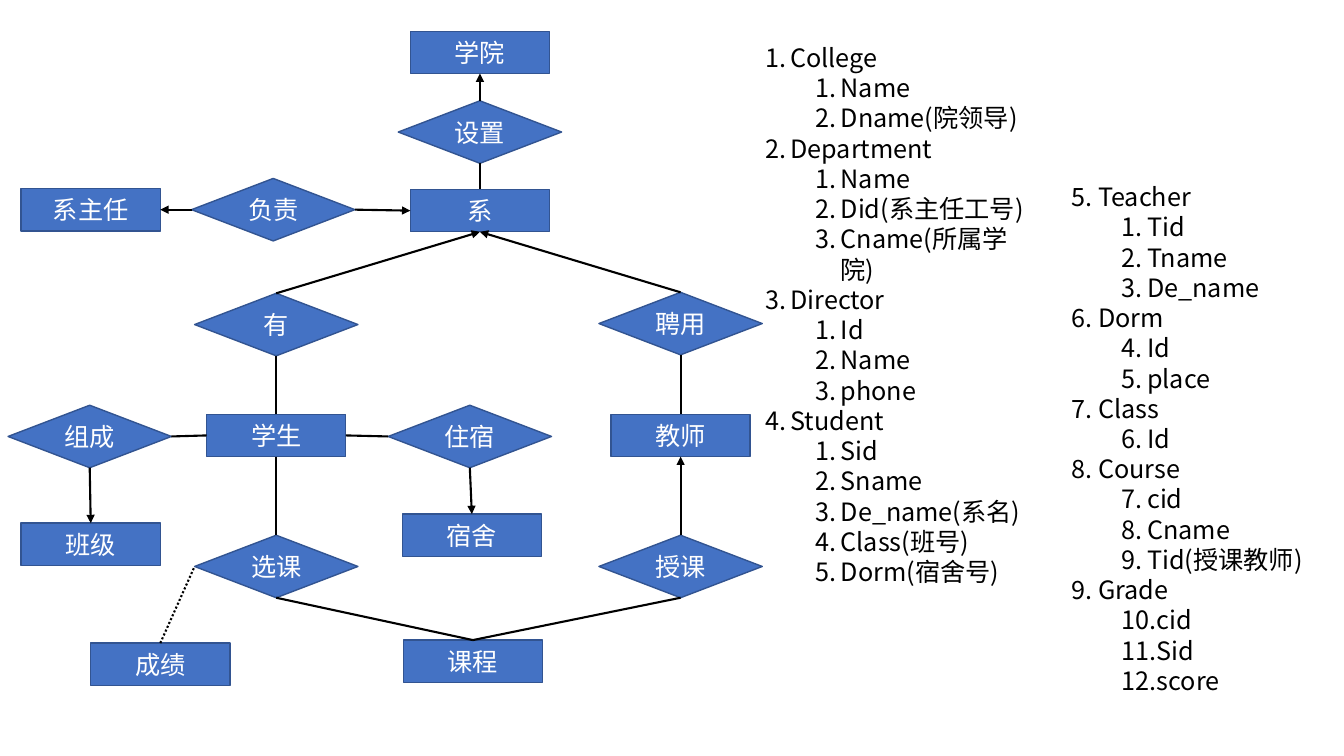
from lxml.etree import SubElement
from pptx import Presentation
from pptx.dml.color import RGBColor
from pptx.enum.dml import MSO_LINE
from pptx.enum.shapes import MSO_CONNECTOR, MSO_SHAPE
from pptx.enum.text import MSO_ANCHOR, MSO_AUTO_SIZE, PP_ALIGN
from pptx.oxml.ns import qn
from pptx.util import Inches, Pt

BLUE = RGBColor(0x44, 0x72, 0xC4)
DARK_BLUE = RGBColor(0x32, 0x54, 0x91)
WHITE = RGBColor(0xFF, 0xFF, 0xFF)
BLACK = RGBColor(0x00, 0x00, 0x00)

# Connection sites shared by rectangles and diamonds
TOP, LEFT, BOTTOM, RIGHT = range(4)


class DiagramSlide:
    font = "Noto Sans CJK SC"
    text_size = Pt(18)
    entity_size = (1.38, 0.42)
    relation_size = (1.62, 0.62)

    def __init__(self, presentation):
        self.slide = presentation.slides.add_slide(presentation.slide_layouts[6])
        self.nodes = {}

    def add_run(self, paragraph, text, color):
        run = paragraph.add_run()
        run.text = text
        run.font.size = self.text_size
        run.font.name = self.font
        run.font.color.rgb = color
        SubElement(run.font._element, qn("a:ea"), typeface=self.font)

    def add_node(self, preset, name, left, top, size):
        shape = self.slide.shapes.add_shape(
            preset, Inches(left), Inches(top), *map(Inches, size))
        shape.shadow.inherit = False
        shape.fill.solid()
        shape.fill.fore_color.rgb = BLUE
        shape.line.color.rgb = DARK_BLUE
        shape.line.width = Pt(1)
        shape.text_frame.vertical_anchor = MSO_ANCHOR.MIDDLE
        paragraph = shape.text_frame.paragraphs[0]
        paragraph.alignment = PP_ALIGN.CENTER
        self.add_run(paragraph, name, WHITE)
        self.nodes[name] = shape

    def add_entity(self, name, left, top):
        self.add_node(MSO_SHAPE.RECTANGLE, name, left, top, self.entity_size)

    def add_relation(self, name, left, top):
        self.add_node(MSO_SHAPE.DIAMOND, name, left, top, self.relation_size)

    def add_link(self, start, start_site, end, end_site, arrow=False, dotted=False):
        connector = self.slide.shapes.add_connector(MSO_CONNECTOR.STRAIGHT, 0, 0, 0, 0)
        connector.begin_connect(self.nodes[start], start_site)
        connector.end_connect(self.nodes[end], end_site)
        connector.line.color.rgb = BLACK
        connector.line.width = Pt(1.5)
        if dotted:
            connector.line.dash_style = MSO_LINE.ROUND_DOT
        if arrow:
            SubElement(connector.line._get_or_add_ln(), qn("a:tailEnd"), type="triangle")
        SubElement(connector._element.spPr, qn("a:effectLst"))

    def add_item(self, frame, text, level, numbered):
        paragraph = frame.paragraphs[0]
        if paragraph.runs:
            paragraph = frame.add_paragraph()
        paragraph.level = level
        if numbered:
            properties = paragraph._p.get_or_add_pPr()
            properties.set("marL", str(Inches(0.25 + 0.5 * level)))
            properties.set("indent", str(Inches(-0.25)))
            SubElement(properties, qn("a:buFont"), typeface="+mj-lt")
            SubElement(properties, qn("a:buAutoNum"), type="arabicPeriod")
        self.add_run(paragraph, text, BLACK)

    def add_schema(self, left, top, width, tables, numbered_tables):
        box = self.slide.shapes.add_textbox(
            Inches(left), Inches(top), Inches(width), Inches(5.25))
        frame = box.text_frame
        frame.word_wrap = True
        frame.auto_size = MSO_AUTO_SIZE.SHAPE_TO_FIT_TEXT
        for table, fields in tables:
            self.add_item(frame, table, 0, numbered_tables)
            for field in fields:
                self.add_item(frame, field, 1, True)


presentation = Presentation()
presentation.slide_width = Inches(13.33)
presentation.slide_height = Inches(7.5)
diagram = DiagramSlide(presentation)

# Entities
for entity in [
    ("学院", 4.07, 0.31), ("系", 4.07, 1.88), ("系主任", 0.21, 1.87),
    ("学生", 2.05, 4.11), ("教师", 6.06, 4.11), ("课程", 4, 6.35),
    ("宿舍", 3.99, 5.1), ("班级", 0.21, 5.19), ("成绩", 0.9, 6.38),
]:
    diagram.add_entity(*entity)

# Relations
for relation in [
    ("负责", 1.9, 1.77), ("聘用", 5.94, 2.9), ("有", 1.93, 2.91),
    ("设置", 3.95, 1), ("选课", 1.93, 5.31), ("授课", 5.94, 5.31),
    ("住宿", 3.85, 4.02), ("组成", 0.08, 4.02),
]:
    diagram.add_relation(*relation)

# Arrows
for arrow in [
    ("设置", TOP, "学院", BOTTOM), ("负责", RIGHT, "系", LEFT),
    ("负责", LEFT, "系主任", RIGHT), ("有", TOP, "系", BOTTOM),
    ("聘用", TOP, "系", BOTTOM), ("住宿", BOTTOM, "宿舍", TOP),
    ("授课", TOP, "教师", BOTTOM), ("组成", BOTTOM, "班级", TOP),
]:
    diagram.add_link(*arrow, arrow=True)

# Plain and dotted lines
for line in [
    ("设置", BOTTOM, "系", TOP), ("有", BOTTOM, "学生", TOP),
    ("聘用", BOTTOM, "教师", TOP), ("学生", BOTTOM, "选课", TOP),
    ("选课", BOTTOM, "课程", TOP), ("授课", BOTTOM, "课程", TOP),
    ("住宿", LEFT, "学生", RIGHT), ("组成", RIGHT, "学生", LEFT),
]:
    diagram.add_link(*line)
diagram.add_link("成绩", TOP, "选课", LEFT, dotted=True)

# Table schemas
diagram.add_schema(7.49, 0.37, 2.82, [
    ("College", ["Name", "Dname(院领导)"]),
    ("Department", ["Name", "Did(系主任工号)", "Cname(所属学院)"]),
    ("Director", ["Id", "Name", "phone"]),
    ("Student", ["Sid", "Sname", "De_name(系名)", "Class(班号)", "Dorm(宿舍号)"]),
], numbered_tables=True)
diagram.add_schema(10.53, 1.75, 2.67, [
    ("5. Teacher", ["Tid", "Tname", "De_name"]),
    ("6. Dorm", ["Id", "place"]),
    ("7. Class", ["Id"]),
    ("8. Course", ["cid", "Cname", "Tid(授课教师)"]),
    ("9. Grade", ["cid", "Sid", "score"]),
], numbered_tables=False)

presentation.save("out.pptx")
